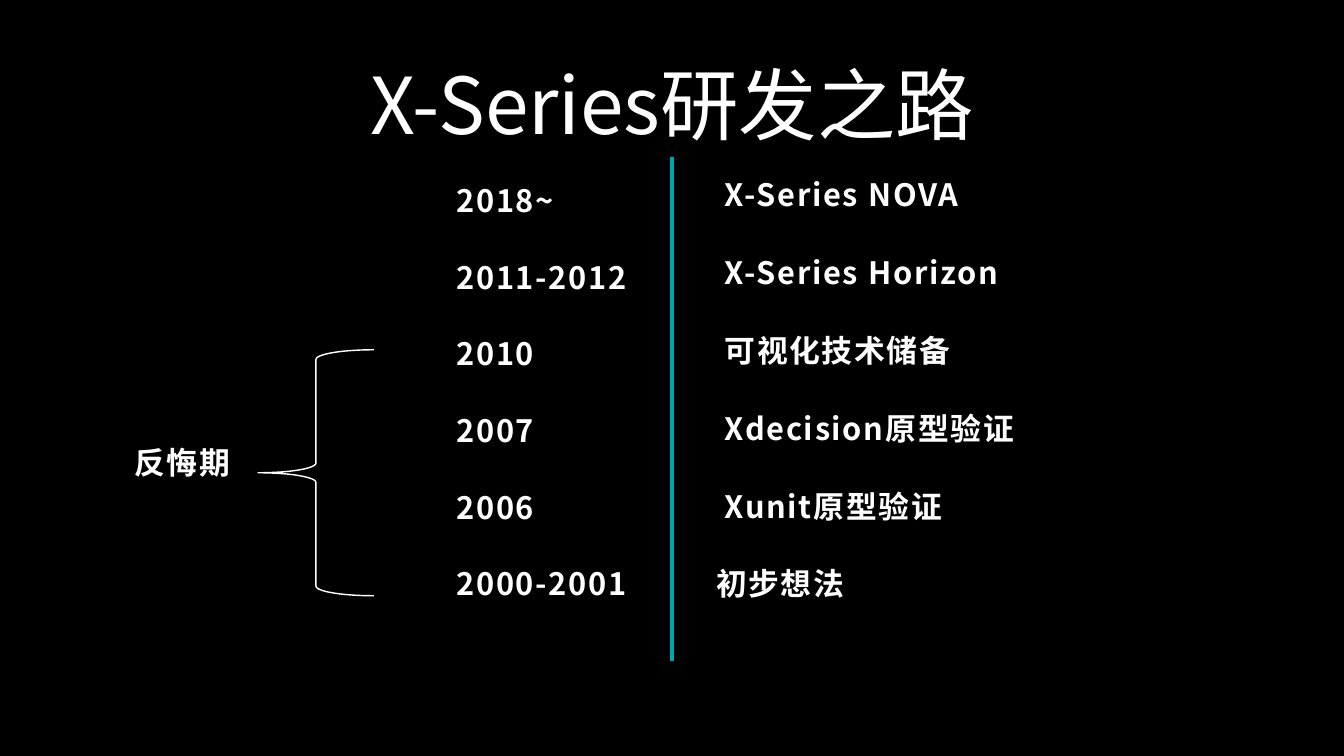
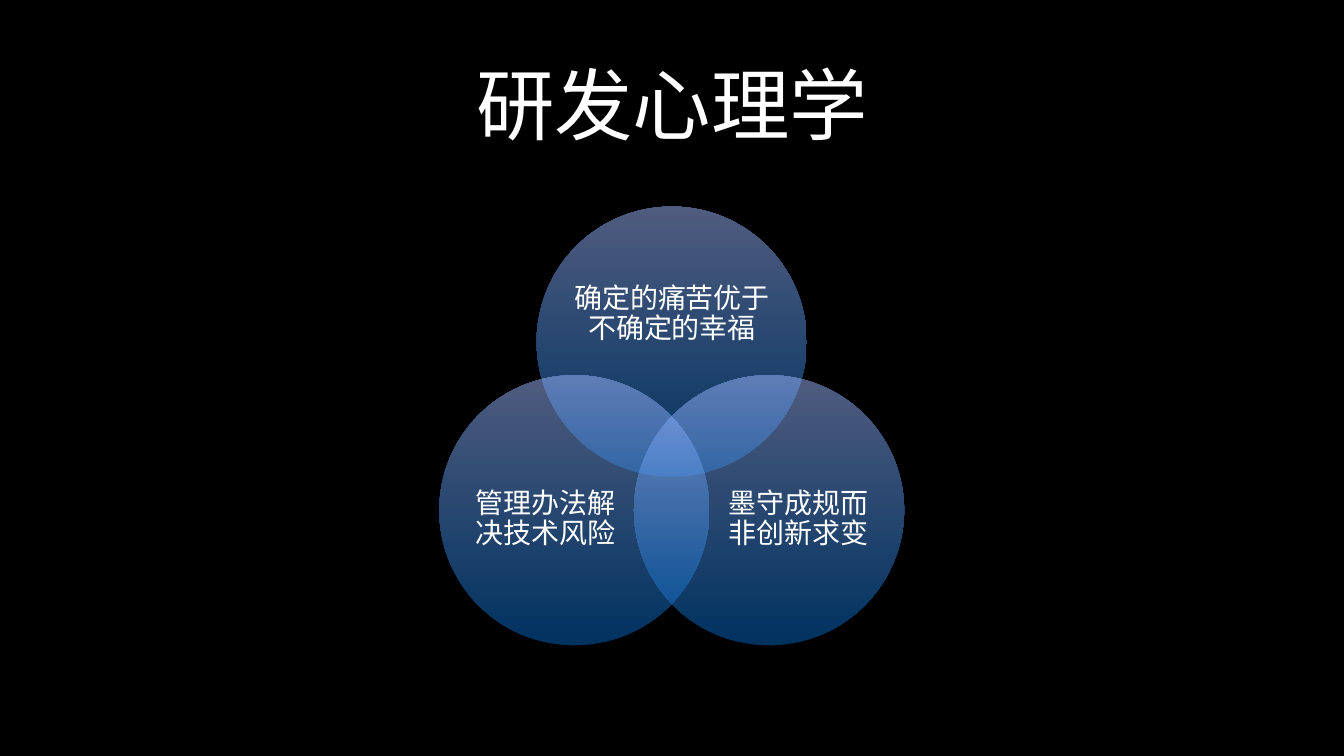
from dataclasses import dataclass
from math import cos, radians, sin

from lxml.etree import SubElement
from pptx import Presentation
from pptx.dml.color import RGBColor
from pptx.enum.shapes import MSO_CONNECTOR, MSO_SHAPE
from pptx.enum.text import MSO_ANCHOR, MSO_AUTO_SIZE, PP_ALIGN
from pptx.oxml.ns import qn
from pptx.util import Inches, Pt


@dataclass(frozen=True)
class Theme:
    background: str = "000000"
    text: str = "FFFFFF"
    accent: str = "00A6AC"
    circle_dark: str = "0065C1"
    circle_light: str = "A0B8FF"
    circle_alpha: int = 50
    font: str = "Noto Sans CJK SC"
    circle_font: str = "Arial"
    title_size: int = 112
    label_size: int = 44
    circle_size: int = 40
    label_spacing: float = 2.4


def rgb(value):
    return RGBColor.from_string(value)


def box(left, top, width, height):
    return [Inches(v) for v in (left, top, width, height)]


class Deck:
    def __init__(self, theme):
        self.theme = theme
        self.prs = Presentation()
        self.prs.slide_width = Inches(26.67)
        self.prs.slide_height = Inches(15)
        self.s = None

    def slide(self, title):
        self.s = self.prs.slides.add_slide(self.prs.slide_layouts[5])
        fill = self.s.background.fill
        fill.solid()
        fill.fore_color.rgb = rgb(self.theme.background)
        sp = self.s.shapes.title
        sp.left, sp.top, sp.width, sp.height = box(1.17, 0.39, 24.33, 3.32)
        tf = self.frame(sp, 0.08, MSO_ANCHOR.MIDDLE)
        p = tf.paragraphs[0]
        p.alignment = PP_ALIGN.CENTER
        self.run(p, title, self.theme.title_size, self.theme.font)

    def frame(self, sp, inset, anchor):
        tf = sp.text_frame
        tf.word_wrap = True
        tf.auto_size = MSO_AUTO_SIZE.NONE
        tf.vertical_anchor = anchor
        tf.margin_left = tf.margin_right = Inches(inset)
        tf.margin_top = tf.margin_bottom = Inches(inset)
        return tf

    def run(self, p, text, size, font, bold=False, spacing=0):
        r = p.add_run()
        r.text = text
        r.font.size = Pt(size)
        r.font.name = font
        r.font.bold = bold
        r.font.color.rgb = rgb(self.theme.text)
        rpr = r.font._element
        SubElement(rpr, qn("a:ea")).set("typeface", self.theme.font)
        if spacing:
            rpr.set("spc", str(round(spacing * 100)))

    def label(self, text, left, top, width):
        sp = self.s.shapes.add_textbox(*box(left, top, width, 0.84))
        tf = sp.text_frame
        tf.word_wrap = True
        tf.auto_size = MSO_AUTO_SIZE.SHAPE_TO_FIT_TEXT
        self.run(tf.paragraphs[0], text, self.theme.label_size, self.theme.font,
                 bold=True, spacing=self.theme.label_spacing)

    def vertical_line(self, x, top, bottom, width):
        line = self.s.shapes.add_connector(
            MSO_CONNECTOR.STRAIGHT, Inches(x), Inches(top), Inches(x), Inches(bottom))
        line.line.color.rgb = rgb(self.theme.accent)
        line.line.width = Pt(width)
        SubElement(line._element.spPr, qn("a:effectLst"))

    def brace(self, left, top, width, height):
        sp = self.s.shapes.add_shape(MSO_SHAPE.LEFT_BRACE, *box(left, top, width, height))
        sp.shadow.inherit = False
        sp.fill.background()
        sp.line.color.rgb = rgb(self.theme.text)
        sp.line.width = Pt(2)

    def group(self):
        return self.s.shapes.add_group_shape().shapes

    def circle(self, shapes, x, y, diameter):
        radius = diameter / 2
        sp = shapes.add_shape(
            MSO_SHAPE.OVAL, *box(x - radius, y - radius, diameter, diameter))
        sp.shadow.inherit = False
        sp.line.fill.background()
        sp.fill.gradient()
        sp.fill.gradient_angle = 90
        colors = (self.theme.circle_dark, self.theme.circle_light)
        for stop, color in zip(sp.fill.gradient_stops, colors):
            stop.color.rgb = rgb(color)
        for color in sp._element.spPr.iter(qn("a:srgbClr")):
            SubElement(color, qn("a:alpha")).set("val", str(self.theme.circle_alpha * 1000))

    def circle_text(self, shapes, text, area):
        sp = shapes.add_textbox(*box(*area))
        p = self.frame(sp, 0, MSO_ANCHOR.MIDDLE).paragraphs[0]
        p.alignment = PP_ALIGN.CENTER
        p.line_spacing = 0.9
        p.space_after = Pt(self.theme.circle_size * 0.35)
        self.run(p, text, self.theme.circle_size, self.theme.circle_font)


def timeline_slide(deck):
    milestones = [
        ("2018~", "X-Series NOVA", 14.28, 8.08),
        ("2011-2012", "X-Series Horizon", 14.28, 8.08),
        ("2010", "可视化技术储备", 14.28, 8.08),
        ("2007", "Xdecision原型验证", 14.28, 6.97),
        ("2006", "Xunit原型验证", 14.28, 5.85),
        ("2000-2001", "初步想法", 14.11, 3.79),
    ]
    deck.slide("X-Series研发之路")
    deck.vertical_line(13.33, 3.12, 13.12, 6)
    for i, (year, event, left, width) in enumerate(milestones):
        deck.label(year, 8.96, 3.56 + 1.52 * i, 3.79)
        deck.label(event, left, 3.44 + 1.545 * i, width)
    deck.brace(5.12, 6.94, 2.3, 4.88)
    deck.label("反悔期", 2.57, 8.76, 2.55)


def psychology_slide(deck):
    center_x, center_y, orbit, diameter = 13.33, 9.01, 2.23, 5.36
    habits = [
        (-90, "确定的痛苦优于不确定的幸福", (11.37, 5.03, 3.93, 2.41)),
        (30, "墨守成规而非创新求变", (14.23, 8.83, 3.22, 2.95)),
        (150, "管理办法解决技术风险", (9.22, 8.83, 3.22, 2.95)),
    ]
    deck.slide("研发心理学")
    venn = deck.group()
    for degrees, text, area in habits:
        angle = radians(degrees)
        deck.circle(venn, center_x + orbit * cos(angle),
                    center_y + orbit * sin(angle), diameter)
        deck.circle_text(venn, text, area)


def main():
    deck = Deck(Theme())
    timeline_slide(deck)
    psychology_slide(deck)
    deck.prs.save("out.pptx")


if __name__ == "__main__":
    main()
